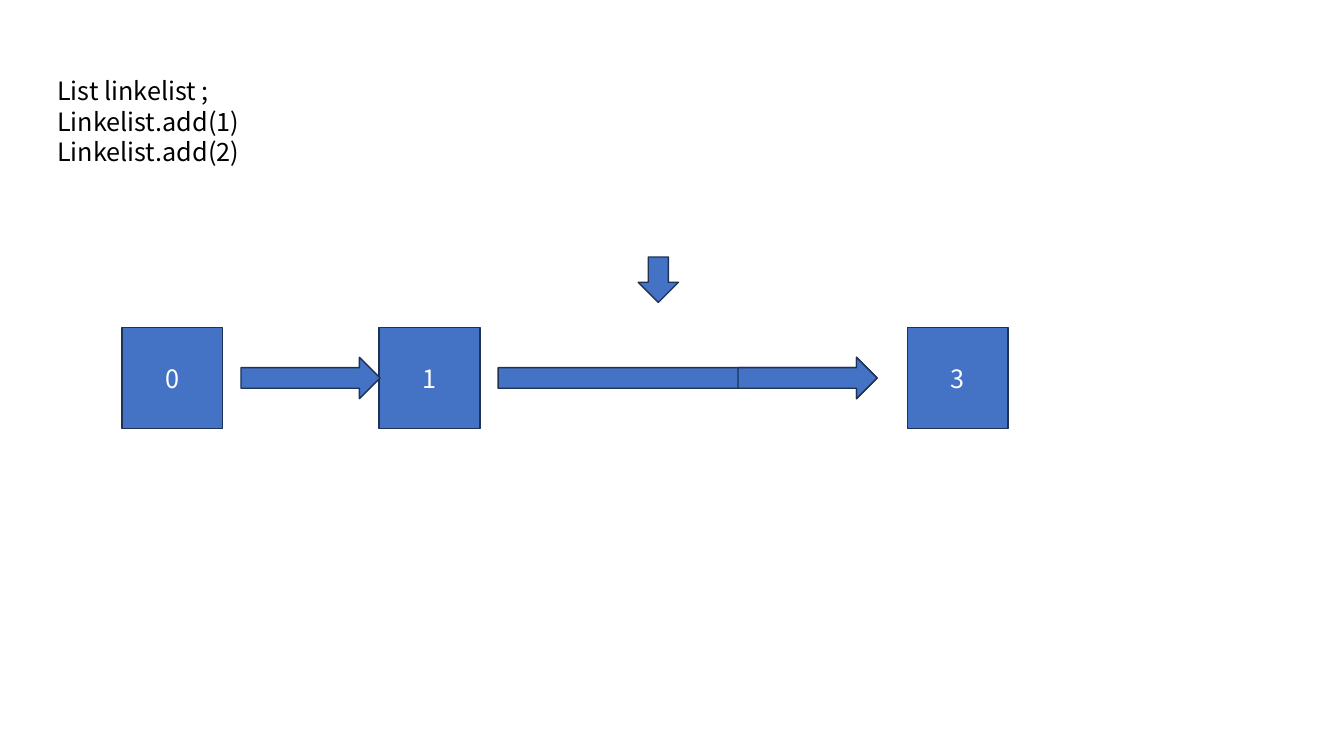
import pptx
import pptx.dml.color
import pptx.enum.shapes
import pptx.enum.text
import pptx.util
from pptx.util import Inches

BLUE = pptx.dml.color.RGBColor(0x44, 0x72, 0xC4)
NAVY = pptx.dml.color.RGBColor(0x1E, 0x32, 0x56)
WHITE = pptx.dml.color.RGBColor(0xFF, 0xFF, 0xFF)
BLACK = pptx.dml.color.RGBColor(0x00, 0x00, 0x00)
FONT_NAME = "Noto Sans CJK KR"
SHAPES = pptx.enum.shapes.MSO_SHAPE

CODE_LINES = ["List linkelist ;", "Linkelist.add(1)", "Linkelist.add(2)"]

NODE_SIZE = 1
ARROW_HEIGHT = 0.41
SHORT_ARROW = 1.38
LONG_ARROW = 3.76


def format_runs(paragraph, color):
    for run in paragraph.runs:
        run.font.name = FONT_NAME
        run.font.size = pptx.util.Pt(18)
        run.font.color.rgb = color


def add_blue_shape(slide, kind, left, top, width, height):
    shape = slide.shapes.add_shape(
        kind, Inches(left), Inches(top), Inches(width), Inches(height))
    shape.shadow.inherit = False
    shape.fill.solid()
    shape.fill.fore_color.rgb = BLUE
    shape.line.color.rgb = NAVY
    shape.line.width = pptx.util.Pt(1)
    return shape


def add_node(slide, label, left, top):
    node = add_blue_shape(slide, SHAPES.RECTANGLE, left, top, NODE_SIZE, NODE_SIZE)
    text_frame = node.text_frame
    text_frame.text = label
    text_frame.vertical_anchor = pptx.enum.text.MSO_ANCHOR.MIDDLE
    paragraph = text_frame.paragraphs[0]
    paragraph.alignment = pptx.enum.text.PP_ALIGN.CENTER
    format_runs(paragraph, WHITE)


def add_code(slide, left, top, width, height):
    text_box = slide.shapes.add_textbox(
        Inches(left), Inches(top), Inches(width), Inches(height))
    text_frame = text_box.text_frame
    text_frame.word_wrap = True
    text_frame.text = "\n".join(CODE_LINES)
    for paragraph in text_frame.paragraphs:
        paragraph.line_spacing = pptx.util.Pt(21.7)
        format_runs(paragraph, BLACK)


def add_linked_list(slide, left, top):
    # Nodes, by offset from the left edge of the list
    for label, offset in [("0", 0), ("1", 2.55), ("3", 7.79)]:
        add_node(slide, label, left + offset, top)

    # Links between nodes; the last one overlaps the end of the long one
    arrow_top = top + (NODE_SIZE - ARROW_HEIGHT) / 2
    for offset, width in [(1.18, SHORT_ARROW), (3.73, LONG_ARROW),
                          (3.73 + LONG_ARROW - SHORT_ARROW, SHORT_ARROW)]:
        add_blue_shape(slide, SHAPES.RIGHT_ARROW,
                       left + offset, arrow_top, width, ARROW_HEIGHT)

    # Pointer above the long link
    add_blue_shape(slide, SHAPES.DOWN_ARROW, left + 5.12, top - 0.7, 0.4, 0.45)


def main():
    presentation = pptx.Presentation()
    presentation.slide_width = Inches(13.33)
    presentation.slide_height = Inches(7.5)
    slide = presentation.slides.add_slide(presentation.slide_layouts[6])
    add_code(slide, 0.47, 0.7, 8.61, 1.31)
    add_linked_list(slide, 1.21, 3.25)
    presentation.save("out.pptx")


if __name__ == "__main__":
    main()
